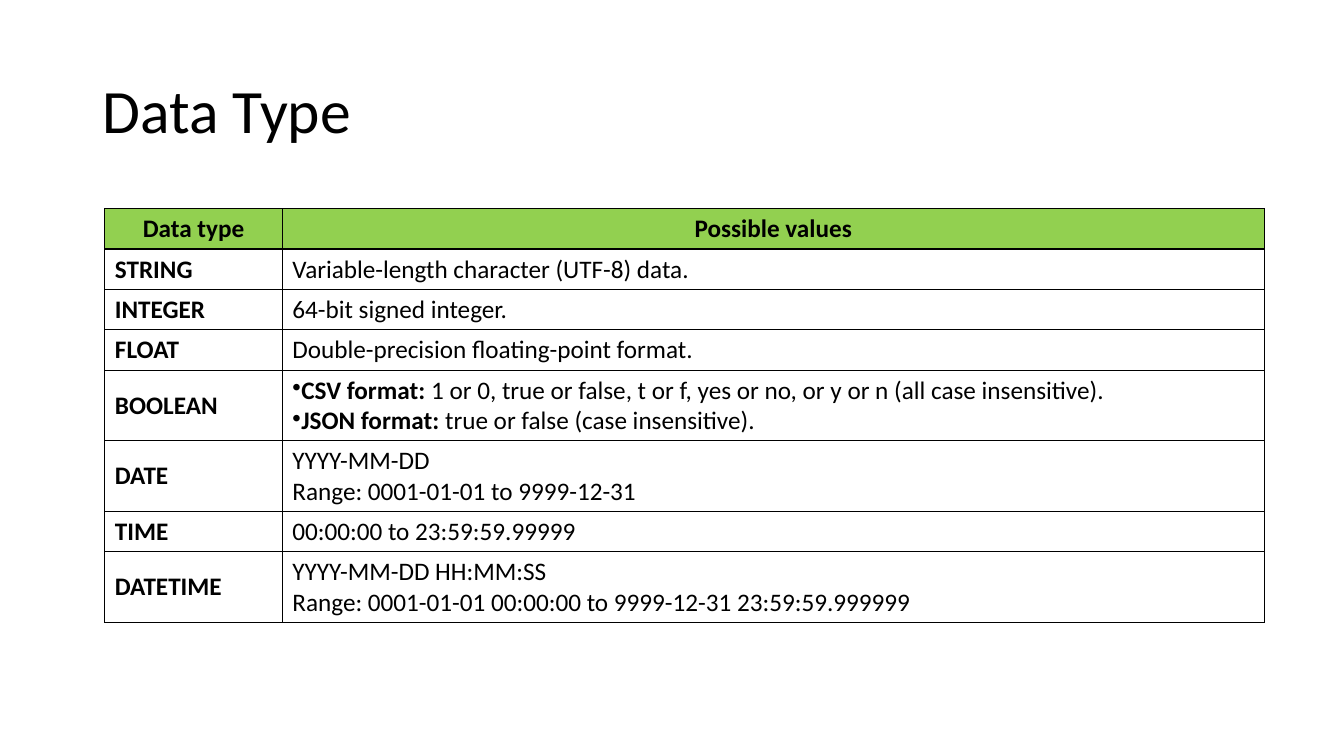
from lxml import etree
from pptx import Presentation
from pptx.dml.color import RGBColor
from pptx.enum import text
from pptx.oxml import ns
from pptx.util import Inches, Pt

BLACK, WHITE, GREEN = "000000", "FFFFFF", "92D050"
BULLET = "•"
ROWS = [
    ("Data type", ["Possible values"]),
    ("STRING", ["Variable-length character (UTF-8) data."]),
    ("INTEGER", ["64-bit signed integer."]),
    ("FLOAT", ["Double-precision floating-point format."]),
    ("BOOLEAN", [
        ("CSV format:", " 1 or 0, true or false, t or f, yes or no, or y or n (all case insensitive)."),
        ("JSON format:", " true or false (case insensitive)."),
    ]),
    ("DATE", ["YYYY-MM-DD", "Range: 0001-01-01 to 9999-12-31"]),
    ("TIME", ["00:00:00 to 23:59:59.99999"]),
    ("DATETIME", ["YYYY-MM-DD HH:MM:SS", "Range: 0001-01-01 00:00:00 to 9999-12-31 23:59:59.999999"]),
]


def set_font(font, size, color):
    font.name = "Calibri"
    font.size = Pt(size)
    font.color.rgb = RGBColor.from_string(color)


def add_borders(cell, color):
    """Draw a 1 pt line on each side; call before setting the cell's fill."""
    properties = cell._tc.get_or_add_tcPr()
    for side in ("lnL", "lnR", "lnT", "lnB"):
        line = etree.SubElement(properties, ns.qn(f"a:{side}"), w=str(Pt(1)))
        fill = etree.SubElement(line, ns.qn("a:solidFill"))
        etree.SubElement(fill, ns.qn("a:srgbClr"), val=color)


presentation = Presentation()
presentation.slide_width = Inches(13.33)
presentation.slide_height = Inches(7.5)
slide = presentation.slides.add_slide(presentation.slide_layouts[6])

title = slide.shapes.add_textbox(Inches(0.92), Inches(0.4), Inches(11.5), Inches(1.45)).text_frame
title.word_wrap = True
title.vertical_anchor = text.MSO_ANCHOR.MIDDLE
title.text = "Data Type"
title.paragraphs[0].line_spacing = 0.9
set_font(title.paragraphs[0].font, 44, BLACK)

table = slide.shapes.add_table(
    len(ROWS), 2, Inches(1.04), Inches(2.07), Inches(11.5), Inches(4.1)).table
table.first_row = False
table.horz_banding = False
table.columns[0].width = Inches(1.76)
table.columns[1].width = Inches(9.74)

for row, (type_name, values) in enumerate(ROWS):
    is_header = row == 0
    table.rows[row].height = Inches(0.1 + 0.3 * len(values))
    for column, lines in enumerate(([type_name], values)):
        cell = table.cell(row, column)
        add_borders(cell, BLACK)
        cell.fill.solid()
        cell.fill.fore_color.rgb = RGBColor.from_string(GREEN if is_header else WHITE)
        cell.vertical_anchor = text.MSO_ANCHOR.MIDDLE
        for index, line in enumerate(lines):
            frame = cell.text_frame
            paragraph = frame.paragraphs[0] if index == 0 else frame.add_paragraph()
            if is_header:
                paragraph.alignment = text.PP_ALIGN.CENTER
            if isinstance(line, tuple):
                etree.SubElement(paragraph._p.get_or_add_pPr(), ns.qn("a:buChar"), char=BULLET)
                for part, bold in zip(line, (True, False)):
                    run = paragraph.add_run()
                    run.text = part
                    run.font.bold = bold
            else:
                paragraph.text = line
                paragraph.font.bold = is_header or column == 0
            set_font(paragraph.font, 18, BLACK)

presentation.save("out.pptx")
